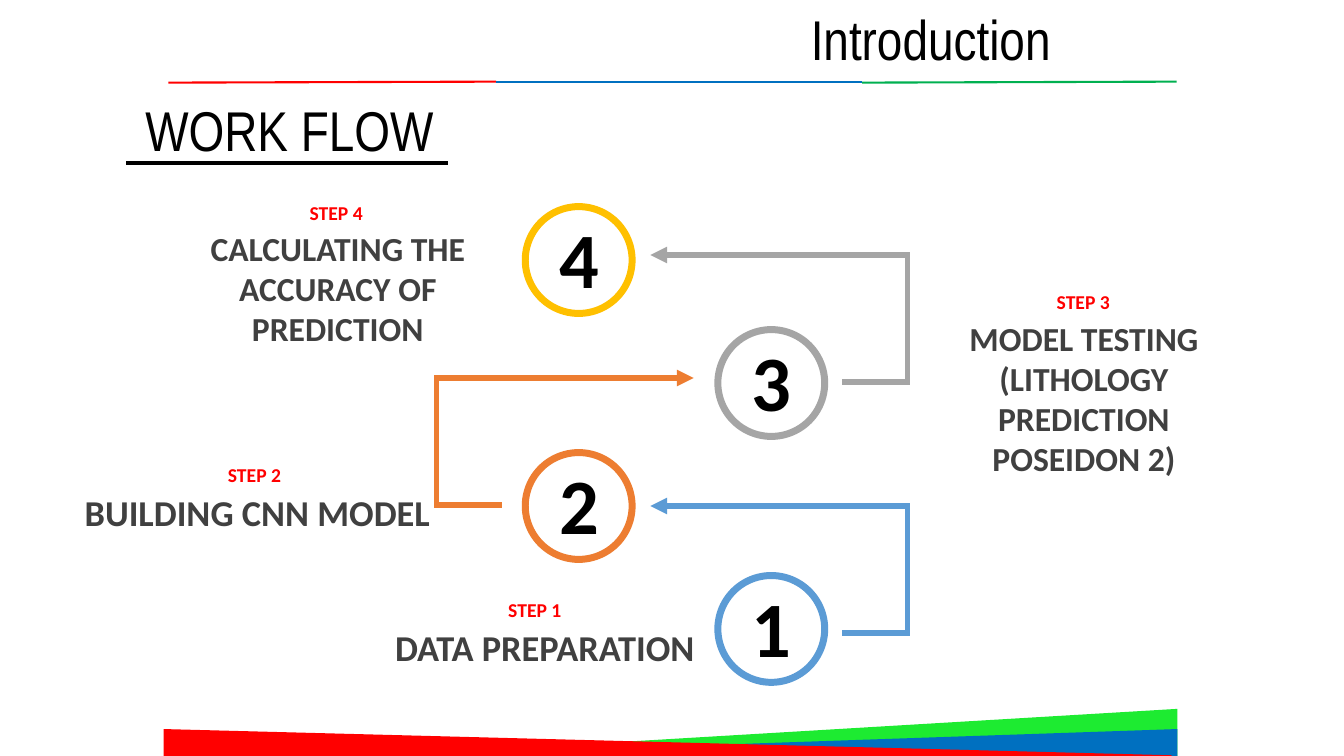
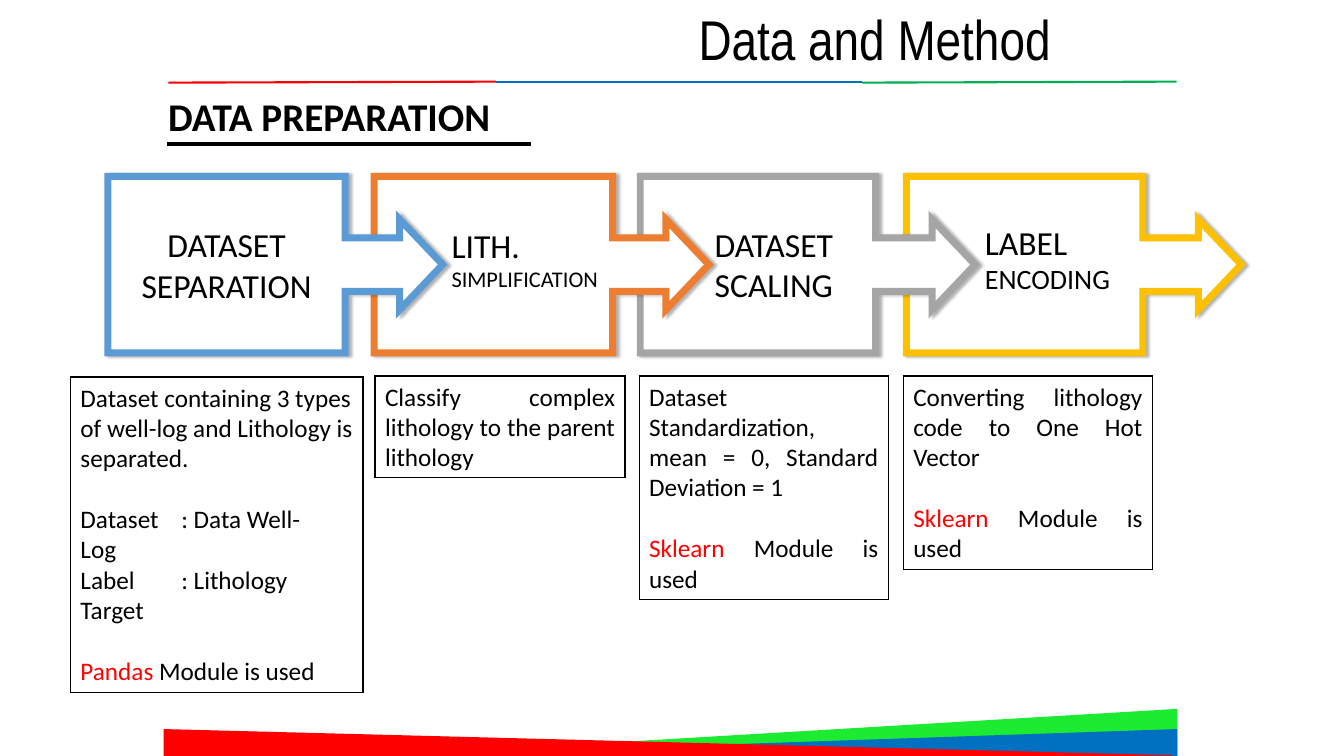
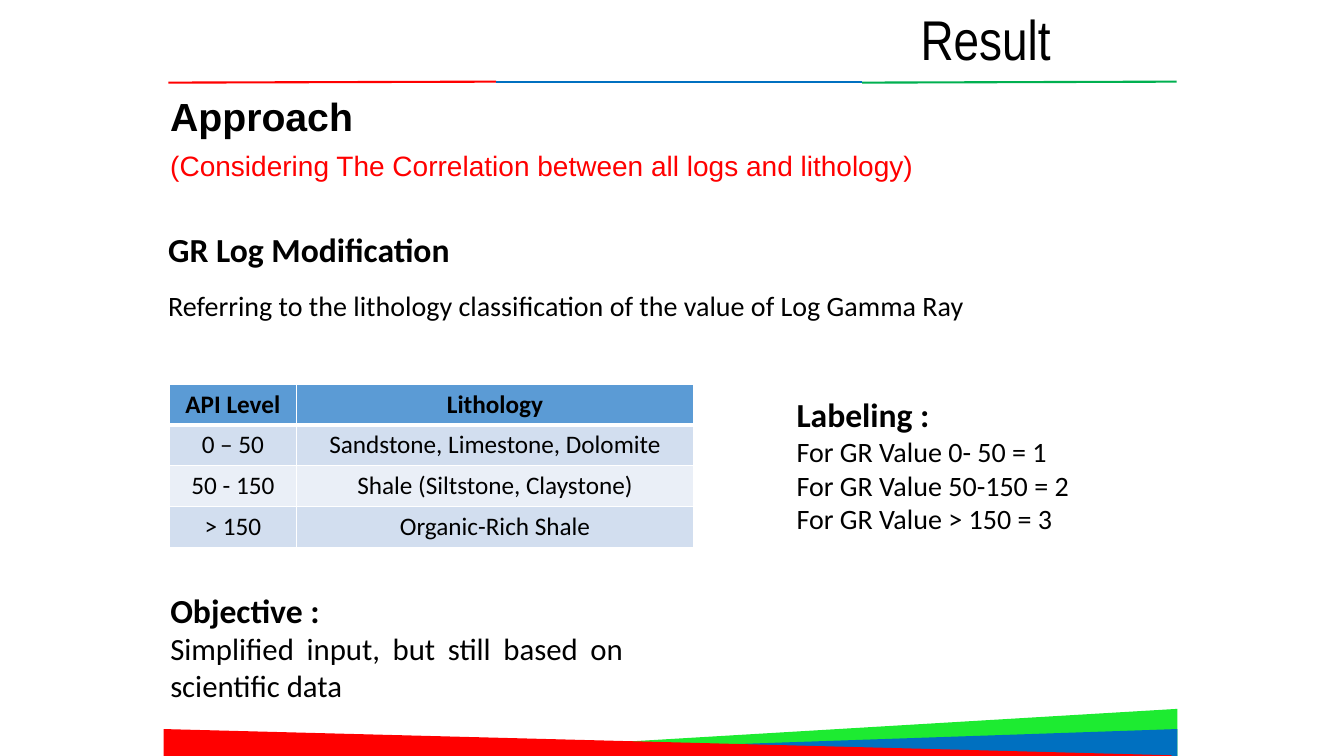
from lxml import etree
from pptx import Presentation, util as u
from pptx.dml.color import RGBColor
from pptx.enum import shapes as sh, text as tx
from pptx.oxml.ns import qn

PX = 9144  # EMU in one px, 100 px to the inch
KIND = sh.MSO_SHAPE
ALIGN = tx.PP_ALIGN
ANCHOR = tx.MSO_ANCHOR


class Theme:
    black, white, dark = map(RGBColor.from_string, ("000000", "FFFFFF", "404040"))
    red, navy = map(RGBColor.from_string, ("FF0000", "0070C0"))
    green, lime = map(RGBColor.from_string, ("00B050", "1DEB31"))
    blue, orange = map(RGBColor.from_string, ("5B9BD5", "ED7D31"))
    grey, gold = map(RGBColor.from_string, ("A5A5A5", "FFC000"))
    odd, even = map(RGBColor.from_string, ("D2DEEF", "EAEFF7"))
    stages = (blue, orange, grey, gold)
    sans, narrow, plain = "Calibri", "Arial Narrow", "Arial"
    tag, small, body, lead, text = 14, 16, 18, 20, 22
    head, step, sub, title, digit = 24, 26, 28, 40, 56
    thin, rule, bar, hook, ring = 1, 1.5, 3, 4, 5


def say(host, *paras, at=None, anchor=ANCHOR.TOP, align=ALIGN.LEFT,
        after=0, gaps={}, **font):
    """Write paragraphs into a shape or cell, or into a new box on a slide.

    A paragraph is a string or a list of runs; a run is a string or a pair
    of string and font changes. gaps maps a paragraph's index to its space before.
    """
    base = dict(size=Theme.body, name=Theme.sans, color=Theme.black, bold=False)
    box = host.shapes.add_textbox(0, 0, 0, 0) if hasattr(host, "shapes") else host
    if at:
        box.left, box.top, box.width, box.height = [v * PX for v in at]
    frame = box.text_frame
    frame.word_wrap = True
    frame.auto_size = tx.MSO_AUTO_SIZE.NONE
    frame.vertical_anchor = anchor
    for i, para in enumerate(paras):
        p = frame.paragraphs[0] if i == 0 else frame.add_paragraph()
        p.alignment = align
        p.space_before, p.space_after = u.Pt(gaps.get(i, 0)), u.Pt(after)
        for part in [para] if isinstance(para, str) else para:
            words, change = (part, {}) if isinstance(part, str) else part
            look = {**base, **font, **change}
            run = p.add_run()
            run.text = words
            run.font.size = u.Pt(look["size"])
            run.font.name = look["name"]
            run.font.bold = look["bold"]
            run.font.color.rgb = look["color"]


def draw(slide, kind, at, color, width=Theme.thin, fill=None):
    """Add an outlined shape.

    kind is a preset with at as left, top, width, height; "line" with at as
    the two ends; or "path" with at as a list of points.
    """
    if kind == "line":
        shape = slide.shapes.add_connector(
            sh.MSO_CONNECTOR.STRAIGHT, *[v * PX for v in at])
    elif kind == "path":
        path = slide.shapes.build_freeform(*at[0], scale=PX)
        path.add_line_segments(at[1:], close=False)
        shape = path.convert_to_shape()
        shape.fill.background()
    else:
        shape = slide.shapes.add_shape(kind, *[v * PX for v in at])
        shape.fill.solid()
        shape.fill.fore_color.rgb = fill
    shape.line.color.rgb = color
    shape.line.width = u.Pt(width)
    props = shape._element.spPr
    etree.SubElement(props.find(qn("a:ln")), qn("a:miter"), lim="800000")
    etree.SubElement(props, qn("a:effectLst"))
    return shape


deck = Presentation()
deck.slide_width, deck.slide_height = 1333 * PX, 750 * PX

# Shared frame: footer wedges, coloured rule and title
wedges = (
    ((394, 704, 773, 46), Theme.lime, True),
    ((404, 724, 763, 26), Theme.navy, True),
    ((163, 724, 999, 26), Theme.red, False),
)
rules = (
    ((167, 82, 492, 81), Theme.red),
    ((492, 81, 855, 81), Theme.navy),
    ((855, 82, 1167, 81), Theme.green),
)
slides = []
for title, layout in (("Introduction", 5), ("Data and Method", 5), ("Result", 1)):
    slide = deck.slides.add_slide(deck.slide_layouts[layout])
    slides.append(slide)
    for at, color, flip in wedges:
        wedge = draw(slide, KIND.RIGHT_TRIANGLE, at, color, fill=color)
        if flip:
            wedge._element.spPr.xfrm.set("flipH", "1")
    for at, color in rules:
        draw(slide, "line", at, color, Theme.rule)
    say(slide.shapes.title, title, at=(516, -1, 536, 77), align=ALIGN.RIGHT,
        size=Theme.title, name=Theme.narrow)
flow, method, result = slides

# Slide 1: work flow
say(flow, "WORK FLOW", at=(19, 90, 536, 77), align=ALIGN.CENTER,
    size=Theme.title, name=Theme.narrow)
draw(flow, "line", (125, 162, 444, 162), Theme.black, Theme.bar)

steps = (
    # tag left, tag top, name left, name width, name size, name
    (359, 588, 361, 359, Theme.step, "DATA PREPARATION"),
    (81, 454, 74, 363, Theme.step, "BUILDING CNN MODEL "),
    (903, 283, 904, 342, Theme.head, "MODEL TESTING (LITHOLOGY PREDICTION POSEIDON 2)"),
    (162, 194, 164, 342, Theme.head, "CALCULATING THE ACCURACY OF PREDICTION"),
)
disc, rise = 106, 122
for i, (left, top, near, wide, size, name) in enumerate(steps):
    say(flow, f"STEP {i + 1}", at=(left, top, 343, 34), align=ALIGN.CENTER,
        size=Theme.tag, color=Theme.red, bold=True)
    say(flow, name, at=(near, top + 27, wide, 130), align=ALIGN.CENTER,
        size=size, color=Theme.dark, bold=True)
    x, y = (712, 521)[i % 2], 571 - rise * i
    draw(flow, KIND.OVAL, (x, y, disc, disc), Theme.stages[i], Theme.ring, Theme.white)
    say(flow, str(i + 1), at=(x + 18, y - 1, 71, 104), align=ALIGN.CENTER,
        size=Theme.digit, bold=True)

# Each hook runs from its tip out to a corner, down, and part of the way back
reach, back, drop = 255, 190, 126
tips = ((645, 502, 1), (688, 375, -1), (645, 253, 1))
for (x, y, way), color in zip(tips, Theme.stages):
    turn, low = x + reach * way, y + drop
    hook = draw(flow, "path", [(x, y), (turn, y), (turn, low), (x + back * way, low)],
                color, Theme.hook)
    etree.SubElement(hook._element.spPr.find(qn("a:ln")), qn("a:headEnd"),
                     type="triangle")

# Slide 2: data preparation
say(method, "DATA PREPARATION", at=(157, 87, 441, 57), after=6,
    size=Theme.sub, bold=True)
draw(method, "line", (166, 143, 527, 143), Theme.black, Theme.bar)

# Callouts overlap, so the last one goes to the back
pitch = 264
bodies = (0.709, 0.713, 0.703, 0.706)
for i in reversed(range(4)):
    call = draw(method, KIND.RIGHT_ARROW_CALLOUT, (107 + pitch * i, 175, 332, 175),
                Theme.stages[i], Theme.ring, Theme.white)
    for n, value in enumerate((0.303, 0.256, 0.243, bodies[i])):
        call.adjustments[n] = value
    shade = etree.SubElement(call._element.spPr.find(qn("a:effectLst")),
                             qn("a:outerShdw"), blurRad="25400", dist="25400",
                             dir="0", algn="l", rotWithShape="0")
    tint = etree.SubElement(shade, qn("a:srgbClr"), val=str(Theme.black))
    etree.SubElement(tint, qn("a:alpha"), val="30000")
    if i == 0:
        say(call, "DATASET SEPARATION", anchor=ANCHOR.MIDDLE, align=ALIGN.CENTER,
            size=Theme.head)

small, lead = dict(size=Theme.small), dict(size=Theme.lead)
for at, paras in (
    ((438, 218, 195, 77), ["LITH.", [("SIMPLIFICATION", small)]]),
    ((699, 217, 160, 91), ["DATASET SCALING"]),
    ((967, 215, 160, 84), [["LABEL ", ("ENCODING", lead)]]),
):
    say(method, *paras, at=at, size=Theme.head)

red = dict(color=Theme.red)
pandas, sklearn = [[(f"{tool} ", red), "Module is used"]
                   for tool in ("Pandas", "Sklearn")]
blank = 22  # points, one line of body text
for at, align, gaps, paras in (
    ((70, 374, 290, 313), ALIGN.LEFT, {1: blank, 3: blank},
     ["Dataset containing 3 types of well-log and Lithology is separated.",
      "Dataset\t: Data Well-\tLog", "Label\t: Lithology \tTarget", pandas]),
    ((372, 373, 248, 101), ALIGN.JUSTIFY, {},
     ["Classify complex lithology to the parent lithology"]),
    ((634, 373, 247, 222), ALIGN.JUSTIFY, {1: blank},
     ["Dataset Standardization, mean = 0, Standard Deviation = 1", sklearn]),
    ((896, 373, 247, 192), ALIGN.JUSTIFY, {1: blank},
     ["Converting lithology code to One Hot Vector", sklearn]),
):
    note = draw(method, KIND.RECTANGLE, at, Theme.black, fill=Theme.white)
    say(note, *paras, align=align, gaps=gaps)

# Slide 3: approach
say(result, [("Approach", dict(size=Theme.sub, color=Theme.black, bold=True))],
    "(Considering The Correlation between all logs and lithology)",
    at=(159, 87, 903, 99), after=6, size=Theme.lead, name=Theme.plain,
    color=Theme.red)
say(result, "GR Log Modification", at=(157, 222, 500, 50), size=Theme.head, bold=True)
say(result, "Referring to the lithology classification of the value of Log Gamma Ray",
    at=(157, 281, 892, 44), size=Theme.lead)

rows = (
    ("API Level", "Lithology"),
    ("0 – 50", "Sandstone, Limestone, Dolomite"),
    ("50 - 150", "Shale (Siltstone, Claystone)"),
    ("> 150", "Organic-Rich Shale"),
)
grid = result.shapes.add_table(len(rows), 2, 168 * PX, 381 * PX, 520 * PX, 162 * PX).table
for col, wide in zip(grid.columns, (126, 394)):
    col.width = wide * PX
for r, row in enumerate(rows):
    for c, words in enumerate(row):
        cell = grid.cell(r, c)
        say(cell, words, align=ALIGN.CENTER, bold=r == 0)
        for side in "LRTB":
            under = (r, side) in ((0, "B"), (1, "T"))
            width = u.Pt(Theme.bar if under else Theme.thin)
            edge = etree.SubElement(cell._tc.get_or_add_tcPr(), qn("a:ln" + side),
                                    w=str(int(width)))
            ink = etree.SubElement(edge, qn("a:solidFill"))
            etree.SubElement(ink, qn("a:srgbClr"), val=str(Theme.white))
        cell.fill.solid()
        band = Theme.odd if r % 2 else Theme.even
        cell.fill.fore_color.rgb = Theme.blue if r == 0 else band

head = dict(size=Theme.head, bold=True)
label = result.placeholders[1]
say(label, [("Labeling :", head)], "For GR Value 0- 50 = 1",
    "For GR Value 50-150 = 2", "For GR Value > 150 = 3",
    at=(780, 386, 469, 151), size=Theme.lead)
for p in label.text_frame.paragraphs:
    props = p._p.get_or_add_pPr()
    props.set("marL", "0")
    props.set("indent", "0")
    etree.SubElement(props, qn("a:buNone"))
say(result, [("Objective :", head)],
    "Simplified input, but still based on scientific data",
    at=(159, 580, 469, 125), align=ALIGN.JUSTIFY, size=Theme.text)

deck.save("out.pptx")
